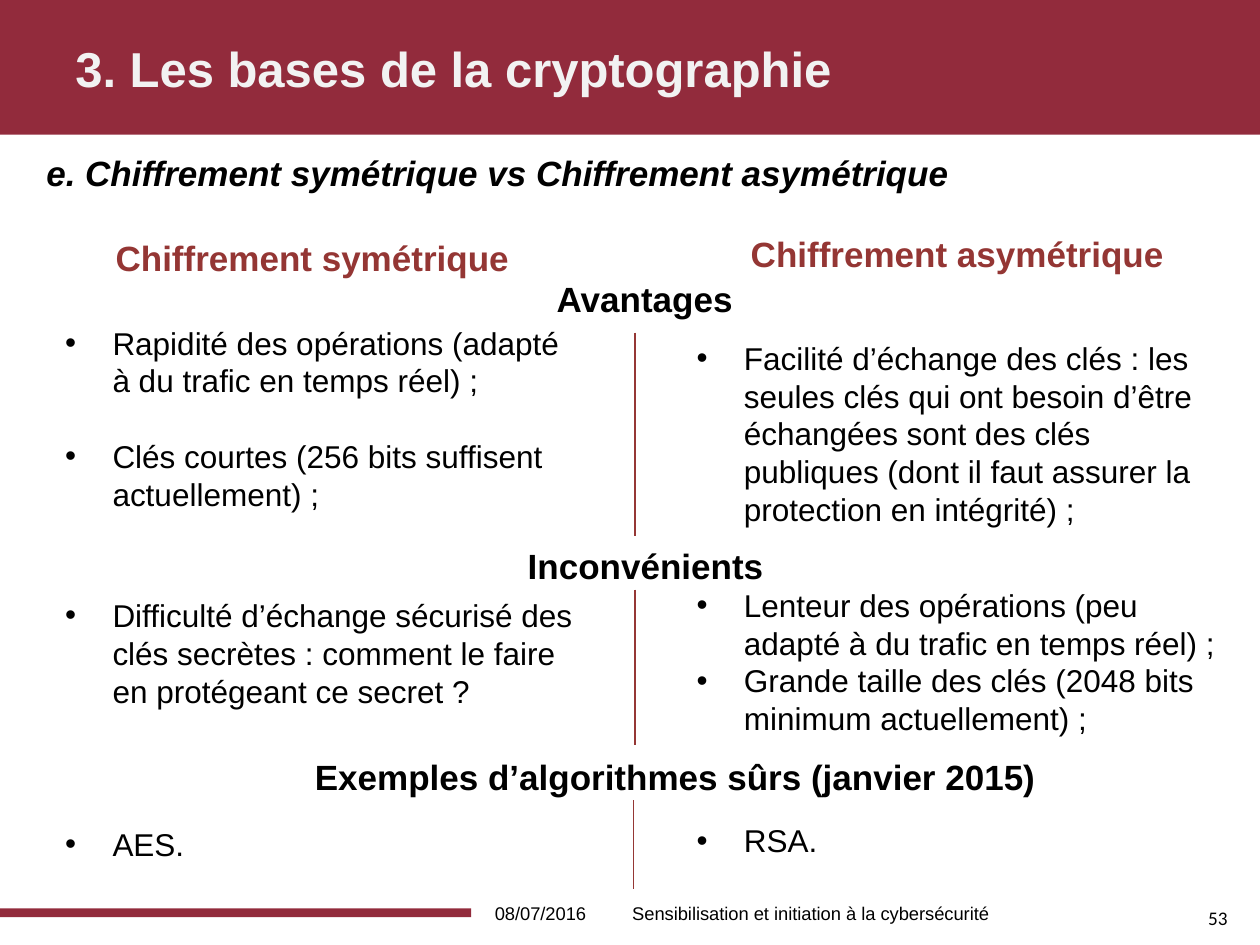
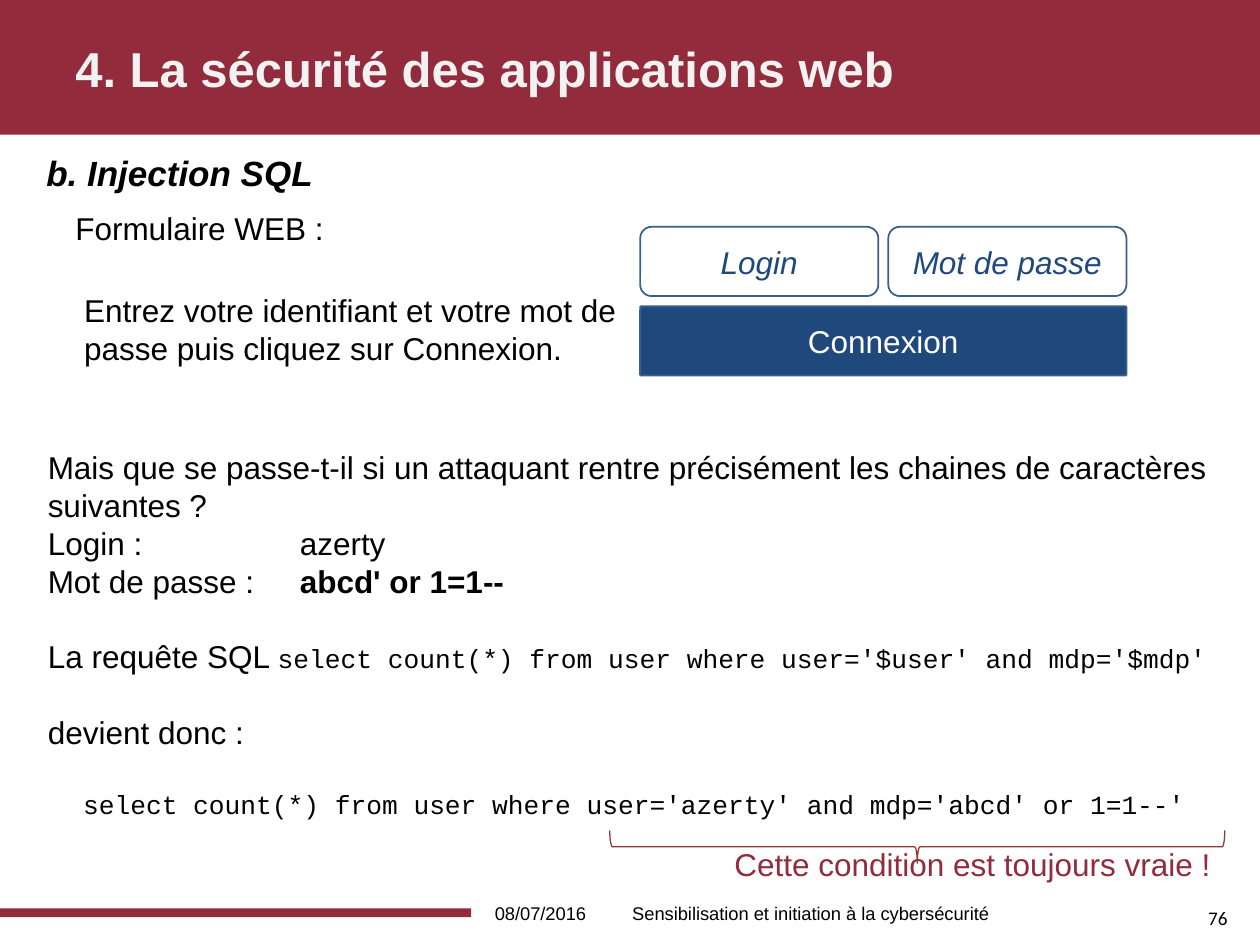
from lxml import etree
from pptx import Presentation
from pptx.dml.color import RGBColor
from pptx.enum.shapes import MSO_CONNECTOR, MSO_SHAPE as SHAPE
from pptx.enum.text import MSO_ANCHOR as ANCHOR, PP_ALIGN as ALIGN
from pptx.oxml.ns import qn
from pptx.util import Pt

CRIMSON = RGBColor(0x92, 0x2B, 0x3C)
BRICK = RGBColor(0x94, 0x36, 0x34)
RULE = RGBColor(0x95, 0x37, 0x35)
NAVY = RGBColor(0x1F, 0x49, 0x7D)
NAVY_LINE = RGBColor(0x3A, 0x5F, 0x8C)
BLACK = RGBColor(0, 0, 0)
WHITE = RGBColor(0xFF, 0xFF, 0xFF)
OFF_WHITE = RGBColor(0xF2, 0xF2, 0xF2)

BODY = 18
LINE = 21.6  # height of one line of body text
INDENT = 27
TAB = 144
LEFT_COL, LEFT_W = 30.2, 308.9
RIGHT_COL, RIGHT_W = 391, 315.4
AXIS = 362.9


def add_run(p, text, size=BODY, color=BLACK, font="Arial", bold=False, italic=False):
    r = p.add_run()
    r.text = text
    r.font.size, r.font.name = Pt(size), font
    r.font.bold, r.font.italic = bold, italic
    r.font.color.rgb = color


def add_code(p, text):
    add_run(p, text, 15, font="Courier New")


def add_box(s, x, y, w, h, wrap=True, anchor=ANCHOR.TOP):
    """Add an empty text box and return its text frame."""
    tf = s.shapes.add_textbox(Pt(x), Pt(y), Pt(w), Pt(h)).text_frame
    tf.word_wrap = wrap
    tf.vertical_anchor = anchor
    return tf


def add_text(s, x, y, w, h, text, wrap=True, anchor=ANCHOR.TOP, align=ALIGN.LEFT, **style):
    p = add_box(s, x, y, w, h, wrap, anchor).paragraphs[0]
    p.alignment = align
    add_run(p, text, **style)


def next_paragraph(tf, before=0):
    first = tf.paragraphs[0]
    p = tf.add_paragraph() if first.runs else first
    if before:
        p.space_before = Pt(before)
    return p


def add_bullets(s, x, y, w, h, items, gap=0):
    tf = add_box(s, x, y, w, h)
    for i, item in enumerate(items):
        p = next_paragraph(tf, gap if i else 0)
        pPr = p._p.get_or_add_pPr()
        pPr.set("marL", str(Pt(INDENT)))
        pPr.set("indent", str(-Pt(INDENT)))
        etree.SubElement(pPr, qn("a:buFont"), typeface="Arial")
        etree.SubElement(pPr, qn("a:buChar"), char="•")
        add_run(p, item)


def add_tabbed(tf, label, value, bold=False):
    p = next_paragraph(tf)
    tabs = etree.SubElement(p._p.get_or_add_pPr(), qn("a:tabLst"))
    etree.SubElement(tabs, qn("a:tab"), pos=str(Pt(TAB)), algn="l")
    add_run(p, label + "\t")
    add_run(p, value, bold=bold)


def add_shape(s, kind, x, y, w, h, fill=None, line=None, width=1):
    sp = s.shapes.add_shape(kind, Pt(x), Pt(y), Pt(w), Pt(h))
    sp.shadow.inherit = False
    if fill is None:
        sp.fill.background()
    else:
        sp.fill.solid()
        sp.fill.fore_color.rgb = fill
    if line is None:
        sp.line.fill.background()
    else:
        sp.line.color.rgb = line
        sp.line.width = Pt(width)
    return sp


def add_control(s, x, y, w, text, color, fill=None, italic=False):
    """Add a field or button of the login form."""
    sp = add_shape(s, SHAPE.ROUNDED_RECTANGLE, x, y, w, 39.6, fill, NAVY_LINE)
    tf = sp.text_frame
    tf.vertical_anchor = ANCHOR.MIDDLE
    p = tf.paragraphs[0]
    p.alignment = ALIGN.CENTER
    add_run(p, text, color=color, italic=italic)
    return sp


def add_divider(s, x, top, bottom):
    c = s.shapes.add_connector(MSO_CONNECTOR.STRAIGHT, Pt(x), Pt(top), Pt(x), Pt(bottom))
    c.line.color.rgb = RULE
    c.line.width = Pt(0.75)
    etree.SubElement(c._element.spPr, qn("a:effectLst"))


def add_heading(s, x, y, w, text, color=BLACK):
    add_text(s, x, y, w, 31.7, text, wrap=False, size=20, color=color, bold=True)


def new_slide(prs, title, subtitle, number):
    s = prs.slides.add_slide(prs.slide_layouts[6])
    add_shape(s, SHAPE.RECTANGLE, 0, 0, 720, 77, CRIMSON)
    add_shape(s, SHAPE.RECTANGLE, 0, 519.1, 269.3, 5, CRIMSON)
    add_text(s, 683.3, 514.1, 33.1, 20.9, number, size=11, font="Calibri")
    add_text(s, 36, 0.7, 648, 76.3, title, anchor=ANCHOR.MIDDLE,
             size=28, color=OFF_WHITE, bold=True)
    add_text(s, 269.3, 507.6, 79.2, 28.8, "08/07/2016", anchor=ANCHOR.MIDDLE,
             align=ALIGN.CENTER, size=10.5)
    add_text(s, 354.2, 507.6, 239, 28.8, "Sensibilisation et initiation à la cybersécurité",
             anchor=ANCHOR.MIDDLE, size=10.5)
    add_text(s, 19.4, 82.8, 686.2, 45.4, subtitle, size=20, bold=True, italic=True)
    return s


def build_comparison(prs):
    s = new_slide(prs, "3. Les bases de la cryptographie",
                  "e. Chiffrement symétrique vs Chiffrement asymétrique", "53")
    for x, top, bottom in [(AXIS, 190.1, 306), (AXIS, 337, 425.5), (362.2, 457.2, 508.3)]:
        add_divider(s, x, top, bottom)

    add_heading(s, 59, 131.8, 247, "Chiffrement symétrique", BRICK)
    add_heading(s, 421.9, 129.6, 258.5, "Chiffrement asymétrique", BRICK)
    add_heading(s, 311, 154.8, 118.8, "Avantages")
    add_heading(s, 294.5, 307.4, 154.1, "Inconvénients")
    add_heading(s, 172.8, 428.4, 440.6, "Exemples d’algorithmes sûrs (janvier 2015)")

    add_bullets(s, LEFT_COL, 181.4, LEFT_W, 116.6, [
        "Rapidité des opérations (adapté à du trafic en temps réel)\u00a0;",
        "Clés courtes (256 bits suffisent actuellement)\u00a0;"], gap=LINE)
    add_bullets(s, LEFT_COL, 337, LEFT_W, 72.7, [
        "Difficulté d’échange sécurisé des clés secrètes\u00a0: "
        "comment le faire en protégeant ce secret\u00a0?"])
    add_bullets(s, LEFT_COL, 468, LEFT_W, 28.8, ["AES."])

    add_bullets(s, RIGHT_COL, 190.1, RIGHT_W, 116.6, [
        "Facilité d’échange des clés : les seules clés qui ont besoin d’être échangées "
        "sont des clés publiques (dont il faut assurer la protection en intégrité)\u00a0;"])
    add_bullets(s, RIGHT_COL, 331.2, RIGHT_W, 94.3, [
        "Lenteur des opérations (peu adapté à du trafic en temps réel)\u00a0;",
        "Grande taille des clés (2048 bits minimum actuellement)\u00a0;"])
    add_bullets(s, RIGHT_COL, 465.8, RIGHT_W, 28.8, ["RSA."])


def add_attack_text(s):
    tf = add_box(s, 20.2, 252.7, 684.7, 243.4)
    add_run(next_paragraph(tf), "Mais que se passe-t-il si un attaquant rentre précisément "
                                "les chaines de caractères suivantes\u00a0?")
    add_tabbed(tf, "Login :", "azerty")
    add_tabbed(tf, "Mot de passe : ", "abcd' or 1=1--", bold=True)
    p = next_paragraph(tf, LINE)
    add_run(p, "La requête SQL ")
    add_code(p, "select count(*) from user where user='$user' and mdp='$mdp'")
    add_run(next_paragraph(tf, LINE), "devient donc :")
    p = next_paragraph(tf, LINE)
    p.alignment = ALIGN.CENTER
    add_code(p, "select count(*) from user where user='azerty' and mdp='abcd' or 1=1--'")


def build_injection(prs):
    s = new_slide(prs, "4. La sécurité des applications web", "b. Injection SQL", "76")
    add_attack_text(s)
    brace = add_shape(s, SHAPE.LEFT_BRACE, 514.8, 308.2, 18.7, 351.4, line=RULE, width=0.75)
    brace.rotation = 270
    add_text(s, 412.6, 479.5, 293, 28.8, "Cette condition est toujours vraie\u00a0!", color=CRIMSON)

    add_text(s, 36, 115.9, 292.3, 28.8, "Formulaire WEB :")
    add_text(s, 41, 162.7, 322.6, 51.1,
             "Entrez votre identifiant et votre mot de passe puis cliquez sur Connexion.")
    button = add_control(s, 365.8, 175, 277.9, "Connexion", WHITE, NAVY)
    button.adjustments[0] = 0.015
    for x, label in [(365.8, "Login"), (507.6, "Mot de passe")]:
        add_control(s, x, 129.6, 136.1, label, NAVY, italic=True)


def main():
    prs = Presentation()
    prs.slide_width, prs.slide_height = Pt(720), Pt(540)
    build_comparison(prs)
    build_injection(prs)
    prs.save("out.pptx")


if __name__ == "__main__":
    main()
